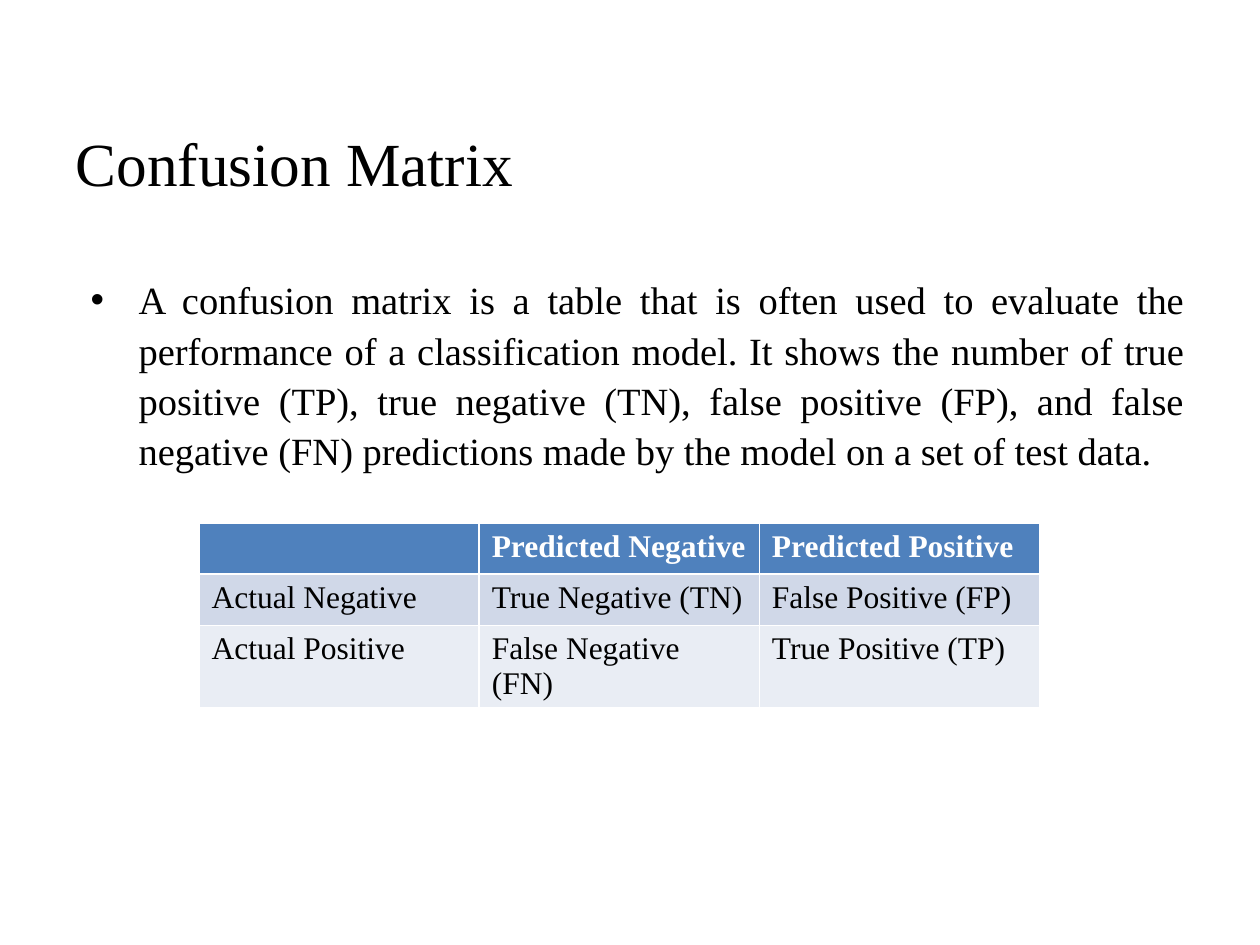
from dataclasses import dataclass
from lxml.etree import SubElement
from pptx import Presentation
from pptx.dml.color import RGBColor as RGB
from pptx.enum.text import MSO_ANCHOR as Anchor, PP_ALIGN as Align
from pptx.oxml.ns import qn
from pptx.util import Inches, Pt


@dataclass(frozen=True)
class Theme:
    font: str = "Times New Roman"
    ink: str = "000000"
    light: str = "FFFFFF"
    head: str = "4F81BD"
    bands: tuple = ("D0D8E8", "E9EDF4")
    title: int = 35
    body: int = 22
    cell: int = 18


class Deck:
    """Holds the theme and the current slide, and adds elements to it."""

    def __init__(self, theme):
        self.theme = theme
        self.prs = Presentation()
        self.prs.slide_width, self.prs.slide_height = Inches(10), Inches(7.5)
        self.slide = self.prs.slides.add_slide(self.prs.slide_layouts[1])

    def style(self, para, size, color, bold=False):
        for run in para.runs:
            font = run.font
            font.name, font.size, font.bold = self.theme.font, Pt(size), bold
            font.color.rgb = RGB.from_string(color)

    def place(self, shape, box):
        shape.left, shape.top, shape.width, shape.height = map(Inches, box)

    def title(self, text, box):
        shape = self.slide.shapes.title
        self.place(shape, box)
        frame = shape.text_frame
        frame.text = text
        frame.vertical_anchor = Anchor.MIDDLE
        para = frame.paragraphs[0]
        para.alignment = Align.LEFT
        self.style(para, self.theme.title, self.theme.ink)

    def body(self, text, box):
        shape = self.slide.placeholders[1]
        self.place(shape, box)
        shape.text_frame.text = text
        para = shape.text_frame.paragraphs[0]
        para.alignment = Align.JUSTIFY
        para.line_spacing, para.space_before = 1.09, Pt(3.6)
        props = para._p.get_or_add_pPr()
        props.set("marL", str(Inches(0.5)))
        props.set("indent", str(Inches(-0.38)))
        SubElement(props, qn("a:buFont"), typeface="Arial")
        SubElement(props, qn("a:buChar"), char="•")
        self.style(para, self.theme.body, self.theme.ink)

    def table(self, rows, box):
        theme = self.theme
        grid = self.slide.shapes.add_table(
            len(rows), len(rows[0]), *map(Inches, box)).table
        for r, row in enumerate(rows):
            head = r == 0
            fill = theme.head if head else theme.bands[(r - 1) % 2]
            for c, text in enumerate(row):
                cell = grid.cell(r, c)
                cell.fill.solid()
                cell.fill.fore_color.rgb = RGB.from_string(fill)
                cell.text_frame.text = text
                self.style(cell.text_frame.paragraphs[0], theme.cell,
                           theme.light if head else theme.ink, head)

    def save(self):
        self.prs.save("out.pptx")


def main():
    deck = Deck(Theme())
    deck.title("Confusion Matrix", (0.5, 0.66, 9, 1.25))
    deck.body(
        "A confusion matrix is a table that is often used to evaluate the "
        "performance of a classification model. It shows the number of true "
        "positive (TP), true negative (TN), false positive (FP), and false "
        "negative (FN) predictions made by the model on a set of test data.",
        (0.5, 2.11, 9, 4.59))
    deck.table([
        ("", "Predicted Negative", "Predicted Positive"),
        ("Actual Negative", "True Negative (TN)", "False Positive (FP)"),
        ("Actual Positive", "False Negative (FN)", "True Positive (TP)"),
    ], (1.58, 4.15, 6.67, 1.22))
    deck.save()


if __name__ == "__main__":
    main()
